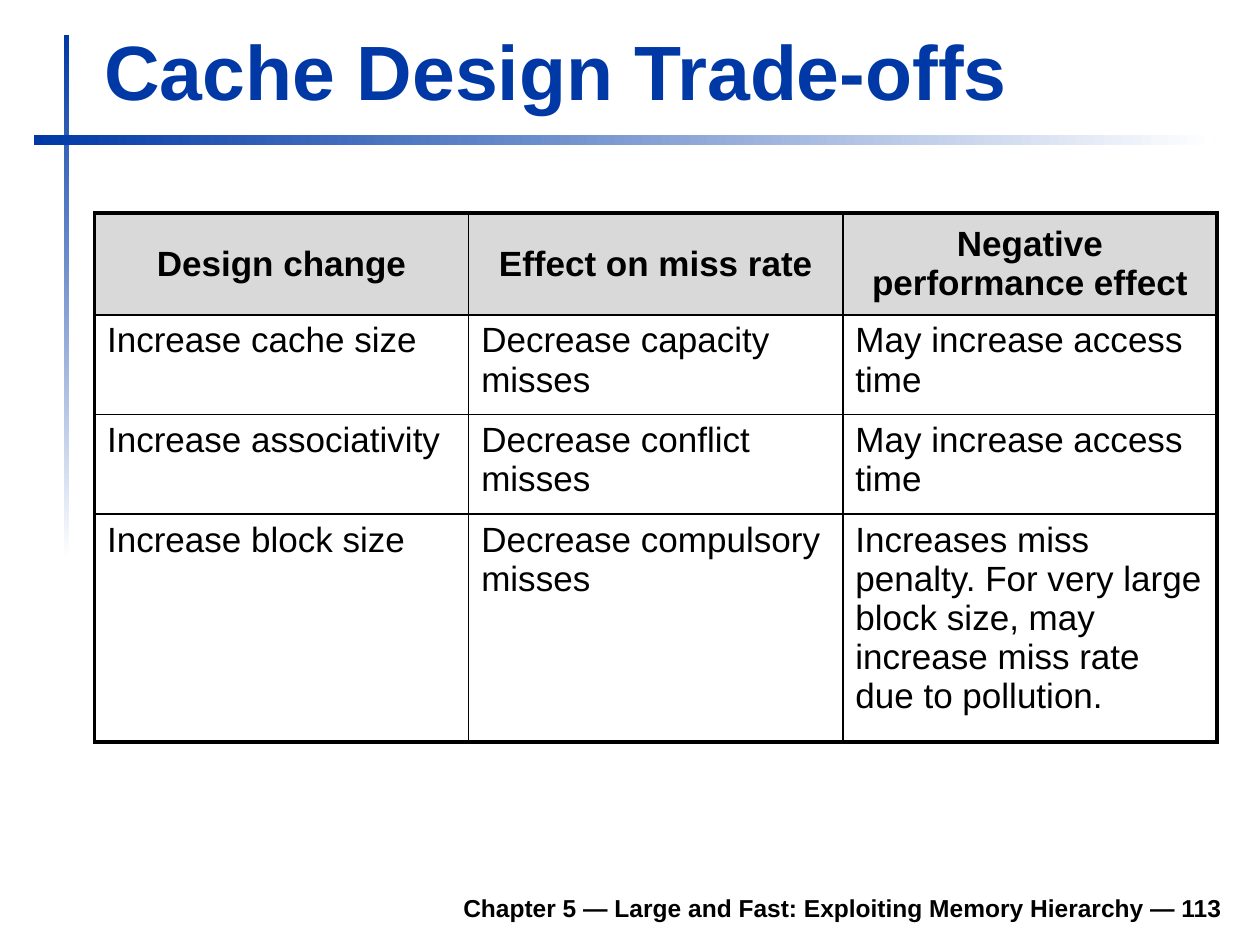
from lxml.etree import SubElement
from pptx import Presentation
from pptx.dml.color import RGBColor
from pptx.enum.shapes import MSO_SHAPE as Shape
from pptx.enum.text import MSO_ANCHOR as Anchor, PP_ALIGN as Align
from pptx.oxml.ns import qn
from pptx.util import Inches, Pt

BLUE = RGBColor(0x00, 0x39, 0xA6)
WHITE = RGBColor(0xFF, 0xFF, 0xFF)
BLACK = RGBColor(0x00, 0x00, 0x00)
GREY = RGBColor(0xD9, 0xD9, 0xD9)
FONT = "Arial"

OUTER, HEADER_RULE, INNER = 2.25, 1.5, 1
ROW_HEIGHTS = [0.81, 0.79, 0.79, 1.81]
COLUMN_WIDTH = 2.97
ROWS = [
    ["Design change", "Effect on miss rate", "Negative performance effect"],
    ["Increase cache size", "Decrease capacity misses", "May increase access time"],
    ["Increase associativity", "Decrease conflict misses", "May increase access time"],
    ["Increase block size", "Decrease compulsory misses",
     "Increases miss penalty. For very large block size, "
     "may increase miss rate due to pollution."],
]


def write(frame, text, size, color, bold=True, align=Align.LEFT):
    para = frame.paragraphs[0]
    para.alignment = align
    span = para.add_run()
    span.text = text
    span.font.name = FONT
    span.font.size = Pt(size)
    span.font.bold = bold
    span.font.color.rgb = color
    return para


def add_text(page, place, text, size, color, align=Align.LEFT):
    box = page.shapes.add_textbox(*map(Inches, place))
    box.text_frame.word_wrap = True
    box.text_frame.vertical_anchor = Anchor.BOTTOM
    write(box.text_frame, text, size, color, align=align)


def add_fading_bar(page, place, angle):
    bar = page.shapes.add_shape(Shape.RECTANGLE, *map(Inches, place))
    bar.shadow.inherit = False
    bar.line.fill.background()
    bar.fill.gradient()
    bar.fill.gradient_angle = angle
    for stop, color in zip(bar.fill.gradient_stops, (BLUE, WHITE)):
        stop.color.rgb = color


def set_borders(cell, widths):
    """Draw the cell edges; widths maps L, R, T, B (in that order) to points."""
    props = cell._tc.get_or_add_tcPr()
    for index, (side, width) in enumerate(widths.items()):
        line = SubElement(props, qn(f"a:ln{side}"), w=str(Pt(width)))
        fill = SubElement(line, qn("a:solidFill"))
        SubElement(fill, qn("a:srgbClr"), val=str(BLACK))
        props.insert(index, line)


def add_grid(page, left, top):
    last_row, last_col = len(ROWS) - 1, len(ROWS[0]) - 1
    table = page.shapes.add_table(
        len(ROWS), len(ROWS[0]), Inches(left), Inches(top),
        Inches(COLUMN_WIDTH * len(ROWS[0])), Inches(sum(ROW_HEIGHTS))).table
    for column in table.columns:
        column.width = Inches(COLUMN_WIDTH)
    # Horizontal rules from top to bottom, one more than there are rows
    rules = [OUTER, HEADER_RULE] + [INNER] * (last_row - 1) + [OUTER]

    for r, texts in enumerate(ROWS):
        table.rows[r].height = Inches(ROW_HEIGHTS[r])
        header = r == 0
        for c, text in enumerate(texts):
            cell = table.cell(r, c)
            cell.vertical_anchor = Anchor.MIDDLE if header else Anchor.TOP
            if header:
                cell.fill.solid()
                cell.fill.fore_color.rgb = GREY
            else:
                cell.fill.background()
            para = write(cell.text_frame, text, 20, BLACK, bold=header,
                         align=Align.CENTER if header else Align.LEFT)
            para.space_before = Pt(4)
            set_borders(cell, {
                "L": OUTER if c == 0 else INNER,
                "R": OUTER if c == last_col else INNER,
                "T": rules[r],
                "B": rules[r + 1],
            })


def main():
    deck = Presentation()
    deck.slide_width, deck.slide_height = Inches(10), Inches(7.5)
    page = deck.slides.add_slide(deck.slide_layouts[6])

    # Crossed bars behind the title
    add_fading_bar(page, (0.51, 0.28, 0.04, 4.17), 270)
    add_fading_bar(page, (0.27, 1.07, 9.37, 0.08), 0)

    # Footer and title
    add_text(page, (1.85, 6.98, 7.95, 0.39),
             "Chapter 5 — Large and Fast: Exploiting Memory Hierarchy — 113",
             14, BLACK, Align.RIGHT)
    add_text(page, (0.73, 0.13, 8.52, 0.84), "Cache Design Trade-offs", 44, BLUE)

    # Trade-off table
    add_grid(page, 0.75, 1.69)

    deck.save("out.pptx")


if __name__ == "__main__":
    main()
